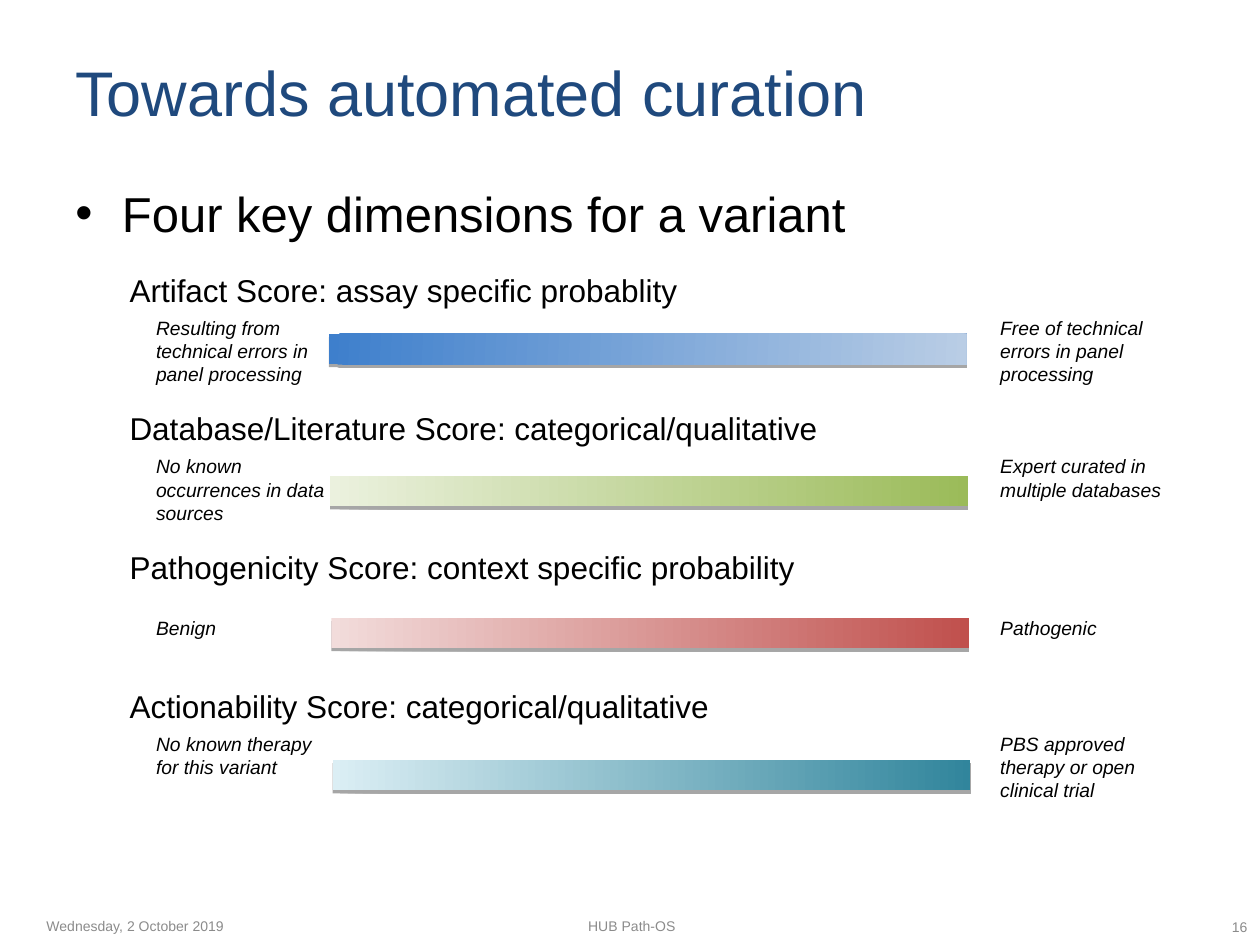
from dataclasses import dataclass

from lxml.etree import SubElement
from pptx import Presentation
from pptx.dml.color import RGBColor
from pptx.enum.shapes import MSO_SHAPE as Preset
from pptx.enum.text import MSO_ANCHOR as Anchor, MSO_AUTO_SIZE as AutoSize, PP_ALIGN as Align
from pptx.oxml.ns import qn
from pptx.util import Inches, Pt


@dataclass(frozen=True)
class Theme:
    font: str = "Arial"
    title_color: str = "1F497D"
    text_color: str = "000000"
    footer_color: str = "8B8B8B"
    title_size: int = 36
    lead_size: int = 28
    heading_size: int = 18
    caption_size: int = 11
    footer_size: int = 8


@dataclass(frozen=True)
class Score:
    heading: str
    heading_width: float
    low: str
    high: str
    low_lines: int
    high_lines: int
    start_color: str
    end_color: str
    low_width: float = 1.57
    caption_drop: float = 0
    gradient_angle: int = 0


THEME = Theme()
SLIDE_W, SLIDE_H = 10, 7.5
MARGIN = SLIDE_W * 0.05
ROW_TOP, ROW_PITCH = 2.1, 1.1
HEADING_X, LOW_X, HIGH_X = 0.93, 1.14, 7.84
CAPTION_OFFSET, CAPTION_LINE, CAPTION_PAD = 0.36, 0.18, 0.1
BAR_X, BAR_TOP, BAR_W, BAR_H = 2.61, 2.65, 5.06, 0.24
BAR_STEP_X, BAR_PITCH = 0.01, 1.127

SCORES = [
    Score("Artifact Score: assay specific probablity", 4.55,
          "Resulting from technical errors in panel processing",
          "Free of technical errors in panel processing",
          3, 3, "3E7FCC", "B9CDE5", gradient_angle=357),
    Score("Database/Literature Score: categorical/qualitative", 5.66,
          "No known occurrences in data sources",
          "Expert curated in multiple databases",
          3, 2, "EBF1DE", "9BBB59", low_width=1.73),
    Score("Pathogenicity Score: context specific probability", 5.48,
          "Benign", "Pathogenic",
          1, 1, "F2DCDB", "C0504D", caption_drop=CAPTION_LINE),
    Score("Actionability Score: categorical/qualitative", 4.8,
          "No known therapy for this variant",
          "PBS approved therapy or open clinical trial",
          2, 3, "DBEEF4", "31859C"),
]


def add_text(slide, words, box, size, color=THEME.text_color, italic=False,
             align=Align.LEFT, anchor=Anchor.TOP, wrap=True, grow=False):
    """Place one paragraph in a box given in inches and return the paragraph."""
    frame = slide.shapes.add_textbox(*map(Inches, box)).text_frame
    frame.word_wrap = wrap
    frame.auto_size = AutoSize.SHAPE_TO_FIT_TEXT if grow else AutoSize.NONE
    frame.vertical_anchor = anchor
    paragraph = frame.paragraphs[0]
    paragraph.alignment = align
    run = paragraph.add_run()
    run.text = words
    run.font.name = THEME.font
    run.font.size = Pt(size)
    run.font.italic = italic
    run.font.color.rgb = RGBColor.from_string(color)
    return paragraph


def add_lead(slide, words):
    lead = add_text(slide, words, (MARGIN, 1.31, SLIDE_W - 2 * MARGIN, 1.42),
                    THEME.lead_size)
    lead.line_spacing = 1.2
    indent = Inches(0.37)
    properties = lead._p.get_or_add_pPr()
    properties.set("marL", str(indent))
    properties.set("indent", str(-indent))
    SubElement(properties, qn("a:buFont"), typeface=THEME.font)
    SubElement(properties, qn("a:buChar"), char="•")


def add_gradient_bar(slide, box, score):
    bar = slide.shapes.add_shape(Preset.RECTANGLE, *map(Inches, box))
    bar.line.fill.background()
    bar.fill.gradient()
    bar.fill.gradient_angle = score.gradient_angle
    for stop, color in zip(bar.fill.gradient_stops, (score.start_color, score.end_color)):
        stop.color.rgb = RGBColor.from_string(color)
    add_shadow(bar)


def add_shadow(bar):
    bar.shadow.inherit = False
    effects = bar._element.spPr.find(qn("a:effectLst"))
    shadow = SubElement(effects, qn("a:outerShdw"), blurRad="0",
                        dist=str(Pt(1.8)), dir="5400000", rotWithShape="0")
    tint = SubElement(shadow, qn("a:srgbClr"), val="000000")
    SubElement(tint, qn("a:alpha"), val="35000")


def add_score(slide, row, score):
    top = ROW_TOP + row * ROW_PITCH
    add_text(slide, score.heading, (HEADING_X, top, score.heading_width, 0.4),
             THEME.heading_size, wrap=False, grow=True)
    add_gradient_bar(slide, (BAR_X + row * BAR_STEP_X, BAR_TOP + row * BAR_PITCH,
                             BAR_W, BAR_H), score)
    caption_top = top + CAPTION_OFFSET + score.caption_drop
    for words, left, width, lines in (
            (score.low, LOW_X, score.low_width, score.low_lines),
            (score.high, HIGH_X, 1.57, score.high_lines)):
        height = CAPTION_PAD + lines * CAPTION_LINE
        add_text(slide, words, (left, caption_top, width, height),
                 THEME.caption_size, italic=True, grow=True)


def add_footer(slide):
    for words, left, width, height, align in (
            ("Wednesday, 2 October 2019", 0.27, 2.33, 0.31, Align.LEFT),
            ("HUB Path-OS", 3.43, 3.17, 0.31, Align.CENTER),
            ("16", 7.67, 2.33, 0.28, Align.RIGHT)):
        add_text(slide, words, (left, SLIDE_H - height, width, height),
                 THEME.footer_size, THEME.footer_color, align=align,
                 anchor=Anchor.MIDDLE)


def main():
    deck = Presentation()
    deck.slide_width, deck.slide_height = Inches(SLIDE_W), Inches(SLIDE_H)
    slide = deck.slides.add_slide(deck.slide_layouts[6])
    add_text(slide, "Towards automated curation",
             (MARGIN, 0.3, SLIDE_W - 2 * MARGIN, 0.85),
             THEME.title_size, THEME.title_color, anchor=Anchor.MIDDLE)
    add_lead(slide, "Four key dimensions for a variant")
    for row, score in enumerate(SCORES):
        add_score(slide, row, score)
    add_footer(slide)
    deck.save("out.pptx")


if __name__ == "__main__":
    main()
